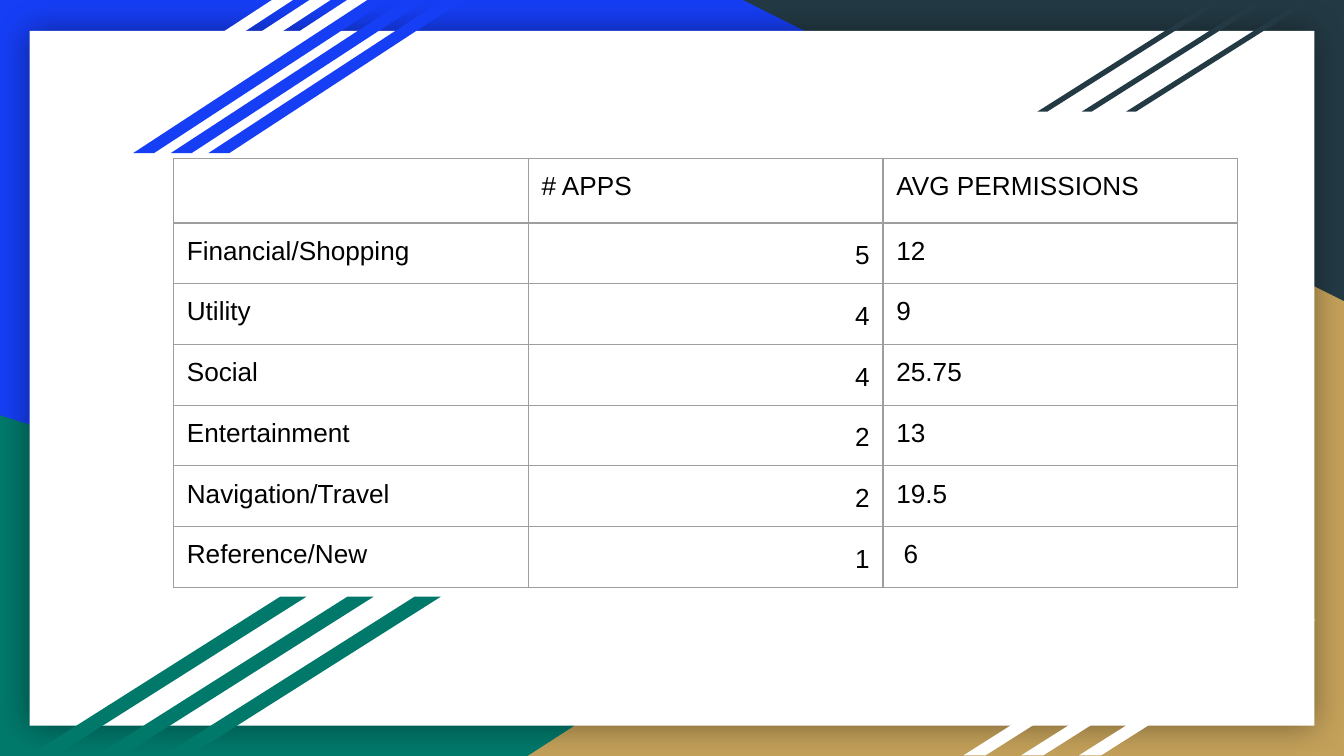
"""Build a slide with a table of average app permissions by category on a striped card."""
import pptx
import pptx.dml.color
import pptx.enum.shapes
import pptx.enum.text
import pptx.oxml
import pptx.oxml.ns
import pptx.util
from pptx.util import Inches

THEME = {
    "blue": "163EF5", "green": "00796B", "gold": "C4A15A", "slate": "233A44",
    "white": "FFFFFF", "text": "000000", "border": "9E9E9E",
    "font": "Arial", "size": 14, "border_width": 0.75,
}
ROWS = [
    ("", "# APPS", "AVG PERMISSIONS"),
    ("Financial/Shopping", "5", "12"),
    ("Utility", "4", "9"),
    ("Social", "4", "25.75"),
    ("Entertainment", "2", "13"),
    ("Navigation/Travel", "2", "19.5"),
    ("Reference/New", "1", " 6"),
]
SLIDE_WIDTH = 10
SLIDE_HEIGHT = SLIDE_WIDTH * 9 / 16
TRIANGLES = [
    {"box": (0, 3.09, 8.06, 2.54), "color": "green"},
    {"box": (3.92, 1.7, 6.08, 3.93), "color": "gold", "flip": True},
    {"box": (5.53, 0, 4.47, 2.24), "color": "slate", "rotation": 180},
]
CARD = (0.22, 0.23, 9.56, 5.17)
STRIPES = [
    {"box": (0.28, 0, 1.9, 1.14), "step": 0.28, "slant": 1.53, "color": "white"},
    {"box": (0.99, 0, 1.9, 1.14), "step": 0.28, "slant": 1.53, "color": "blue"},
    {"box": (7.72, 0.01, 1.37, 0.82), "step": 0.33, "slant": 1.58, "color": "slate"},
    {"box": (7.17, 4.61, 1.76, 1.01), "step": 0.43, "slant": 1.58, "color": "white"},
    {"box": (0.22, 4.44, 2.06, 1.18), "step": 0.5, "slant": 1.58, "color": "green"},
]
STRIPES_PER_GROUP = 3
TABLE_LEFT, TABLE_TOP = 1.29, 1.18
COLUMN_WIDTH, HEADER_HEIGHT, ROW_HEIGHT = 2.64, 0.48, 0.45
CELL_INSET = 0.1
NAMESPACE = pptx.oxml.ns.nsdecls("a")
SHAPES = pptx.enum.shapes.MSO_SHAPE
ALIGN = pptx.enum.text.PP_ALIGN


def rgb(name):
    return pptx.dml.color.RGBColor.from_string(THEME[name])


def add_filled(shapes, kind, box, color, flip=False, rotation=0):
    shape = shapes.add_shape(kind, *map(Inches, box))
    shape.fill.solid()
    shape.fill.fore_color.rgb = rgb(color)
    shape.line.fill.background()
    shape.shadow.inherit = False
    shape.rotation = rotation
    if flip:
        shape._element.spPr.xfrm.set("flipH", "1")
    return shape


def add_card(shapes):
    card = add_filled(shapes, SHAPES.RECTANGLE, CARD, "white")
    effects = card._element.spPr.find(pptx.oxml.ns.qn("a:effectLst"))
    effects.append(pptx.oxml.parse_xml(
        f'<a:outerShdw {NAMESPACE} blurRad="{pptx.util.Pt(18)}" dist="0" dir="0" algn="ctr" '
        f'rotWithShape="0"><a:srgbClr val="{THEME["text"]}"><a:alpha val="40000"/>'
        "</a:srgbClr></a:outerShdw>"))


def add_stripes(shapes, box, step, slant, color):
    left, top, width, height = box
    group = shapes.add_group_shape()
    for index in reversed(range(STRIPES_PER_GROUP)):
        place = (left + index * step, top, width, height)
        stripe = add_filled(group.shapes, SHAPES.PARALLELOGRAM, place, color)
        stripe.adjustments[0] = slant


def write_text(frame, text, align=ALIGN.LEFT, spacing=1.0, color="text"):
    para = frame.paragraphs[0]
    para.alignment = align
    para.line_spacing = spacing
    if not text:
        para._p.get_or_add_endParaRPr().set("sz", str(THEME["size"] * 100))
        return
    span = para.add_run()
    span.text = text
    span.font.name = THEME["font"]
    span.font.size = pptx.util.Pt(THEME["size"])
    span.font.color.rgb = rgb(color)


def outline_cell(cell):
    properties = cell._tc.get_or_add_tcPr()
    width = pptx.util.Pt(THEME["border_width"])
    for index, side in enumerate("LRTB"):
        properties.insert(index, pptx.oxml.parse_xml(
            f'<a:ln{side} {NAMESPACE} w="{width}"><a:solidFill>'
            f'<a:srgbClr val="{THEME["border"]}"/></a:solidFill></a:ln{side}>'))


def add_permissions_table(shapes):
    columns = len(ROWS[0])
    heights = [HEADER_HEIGHT] + [ROW_HEIGHT] * (len(ROWS) - 1)
    table = shapes.add_table(
        len(ROWS), columns, Inches(TABLE_LEFT), Inches(TABLE_TOP),
        Inches(columns * COLUMN_WIDTH), Inches(sum(heights))).table
    table.first_row = table.horz_banding = False
    for column in table.columns:
        column.width = Inches(COLUMN_WIDTH)
    for row_index, (values, height) in enumerate(zip(ROWS, heights)):
        table.rows[row_index].height = Inches(height)
        for column_index, text in enumerate(values):
            cell = table.cell(row_index, column_index)
            cell.fill.background()
            cell.margin_left = cell.margin_right = Inches(CELL_INSET)
            cell.margin_top = cell.margin_bottom = Inches(CELL_INSET)
            is_count = row_index > 0 and column_index == 1
            style = {"align": ALIGN.RIGHT, "spacing": 1.15} if is_count else {}
            write_text(cell.text_frame, text, **style)
            outline_cell(cell)


def main():
    deck = pptx.Presentation()
    deck.slide_width, deck.slide_height = Inches(SLIDE_WIDTH), Inches(SLIDE_HEIGHT)
    page = deck.slides.add_slide(deck.slide_layouts[6])
    page.background.fill.solid()
    page.background.fill.fore_color.rgb = rgb("blue")
    for triangle in TRIANGLES:
        add_filled(page.shapes, SHAPES.RIGHT_TRIANGLE, **triangle)
    add_card(page.shapes)
    for stripes in STRIPES:
        add_stripes(page.shapes, **stripes)
    add_permissions_table(page.shapes)
    deck.save("out.pptx")


if __name__ == "__main__":
    main()
